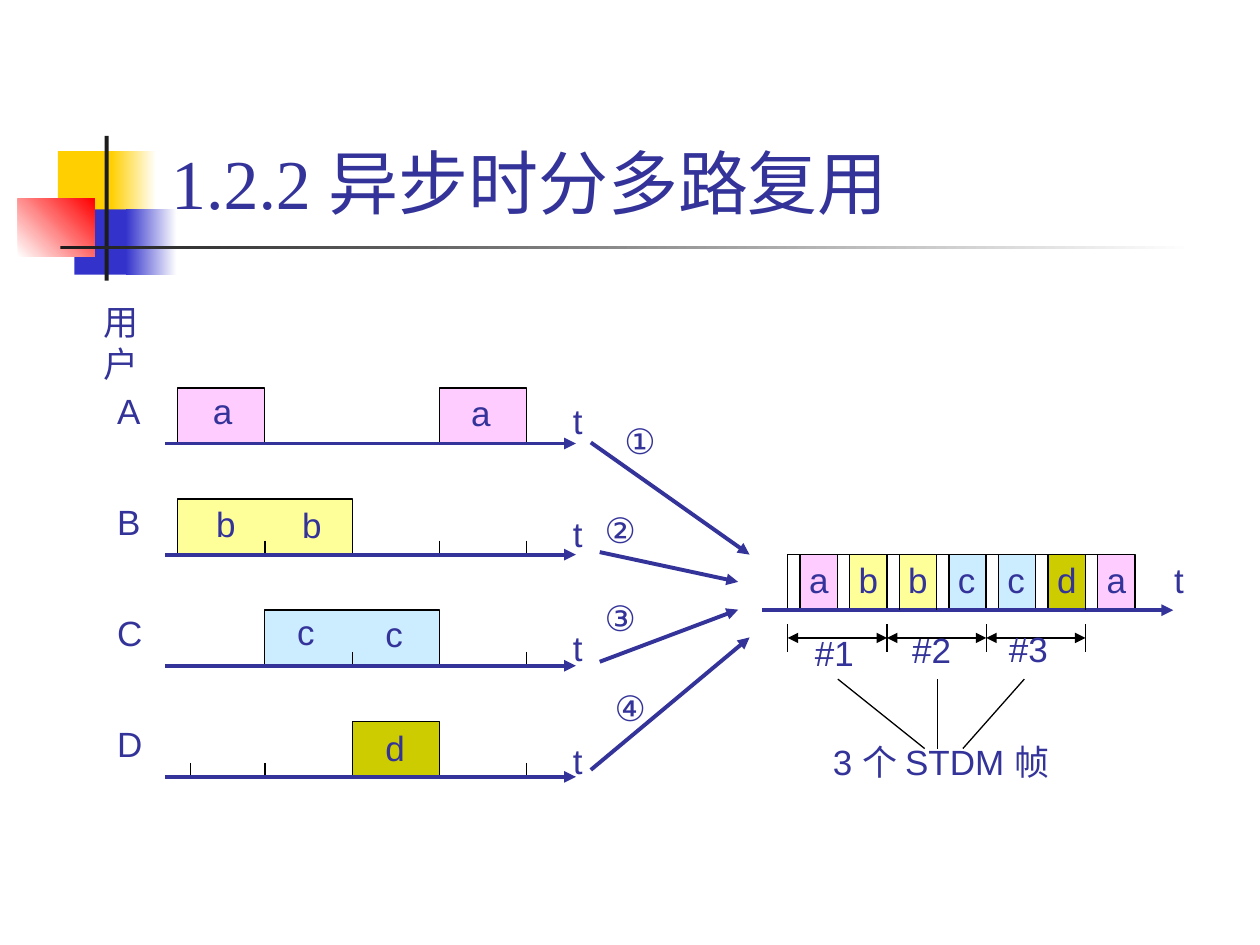
"""Build the slide on asynchronous time-division multiplexing."""
from typing import NamedTuple, Optional

from lxml import etree
from pptx import Presentation
from pptx import util as u
from pptx.dml.color import RGBColor
from pptx.enum import shapes, text
from pptx.oxml.ns import qn

COLORS = {"ink": "333399", "black": "000000", "white": "FFFFFF", "gold": "FFCF01",
          "blue": "3333CC", "red": "FF0000", "coal": "1C1C1C",
          "a": "FFCCFF", "b": "FFFF99", "c": "CCECFF", "d": "CCCC00"}
SLOT_LEFT, SLOT = 3.58, 1.76
USER_BASE, ROW = 8.94, 2.24
BOX_HEIGHT, TICK, LABEL_HEIGHT = 1.12, 0.28, 1.12
MUX_LEFT, MUX_BASE, MUX_PITCH, GAP = 15.88, 12.3, 1.0, 0.25
FRAME = 2 * MUX_PITCH
LABEL_FORMAT = {"word_wrap": False, "auto_size": text.MSO_AUTO_SIZE.SHAPE_TO_FIT_TEXT}
TITLE_FORMAT = {"word_wrap": True, "vertical_anchor": text.MSO_ANCHOR.BOTTOM}


class Ornament(NamedTuple):
    left: float
    top: float
    width: float
    height: float
    start: str
    end: Optional[str] = None
    angle: int = 0


class Burst(NamedTuple):
    user: int
    slot: int
    count: int
    letter: str


class Label(NamedTuple):
    words: str
    left: float
    top: float
    width: float


class Stroke(NamedTuple):
    x1: float
    y1: float
    x2: float
    y2: float


ORNAMENTS = [
    Ornament(1.17, 3.05, 1.22, 1.32, "gold"),
    Ornament(2.24, 3.05, 0.91, 1.32, "gold", "white"),
    Ornament(1.5, 4.22, 1.17, 1.32, "blue"),
    Ornament(2.54, 4.22, 1.02, 1.32, "blue", "white"),
    Ornament(0.36, 4.01, 1.55, 1.17, "white", "red", 45),
    Ornament(2.11, 2.74, 0.08, 2.92, "coal"),
    Ornament(1.22, 4.95, 22.86, 0.08, "coal", "white"),
]
BURSTS = [Burst(0, 0, 1, "a"), Burst(0, 3, 1, "a"), Burst(1, 0, 2, "b"),
          Burst(2, 1, 2, "c"), Burst(3, 2, 1, "d")]
MUX_ORDER = "abbccda"
USER_TICKS = {1: [1, 3, 4], 2: [2, 4], 3: [0.15, 1, 4]}
MUX_TICKS = [18.13, 18.88, 21.88]
LABELS = [
    Label("用户", 1.83, 5.94, 1.9), Label("3 个 STDM 帧", 16.54, 14.81, 5.56),
    Label("t", 23.42, 11.13, 0.69),
    Label("a", 4.04, 7.72, 0.89), Label("a", 9.25, 7.77, 0.89),
    Label("b", 4.11, 10.01, 0.89), Label("b", 5.84, 10.03, 0.89),
    Label("c", 5.74, 12.19, 0.86), Label("c", 7.52, 12.22, 0.86),
    Label("d", 7.52, 14.53, 0.89),
    Label("#1", 16.18, 12.6, 1.3), Label("#2", 18.14, 12.55, 1.3),
    Label("#3", 20.09, 12.52, 1.3),
    Label("①", 12.34, 8.33, 1.14), Label("②", 11.94, 10.13, 1.14),
    Label("③", 11.94, 11.91, 1.14), Label("④", 12.14, 13.72, 1.14),
]
INPUTS = [Stroke(11.91, 8.92, 15.11, 11.18), Stroke(12.09, 11.13, 14.88, 11.73),
          Stroke(12.09, 13.34, 14.88, 12.29), Stroke(11.91, 15.52, 15.11, 12.85)]
FRAME_POINTERS = [Stroke(16.89, 13.69, 18.64, 15.09), Stroke(18.9, 13.69, 18.9, 15.09),
                  Stroke(20.65, 13.69, 19.41, 15.09)]


def rgb(name: str) -> RGBColor:
    """Return a palette colour."""
    return RGBColor.from_string(COLORS[name])


def draw_ornament(slide, item: Ornament) -> None:
    """Draw a plain or graded rectangle."""
    block = slide.shapes.add_shape(shapes.MSO_SHAPE.RECTANGLE, *map(u.Cm, item[:4]))
    block.shadow.inherit = False
    block.line.fill.background()
    if item.end is None:
        block.fill.solid()
        block.fill.fore_color.rgb = rgb(item.start)
        return
    block.fill.gradient()
    block.fill.gradient_angle = item.angle
    for stop, name in zip(block.fill.gradient_stops, (item.start, item.end)):
        stop.color.rgb = rgb(name)


def draw_box(slide, left: float, base: float, width: float, fill: Optional[str] = None) -> None:
    """Draw a time slot that is open along its base."""
    top, right = base - BOX_HEIGHT, left + width
    outline = slide.shapes.build_freeform(u.Cm(left), u.Cm(base))
    corners = [(left, top), (right, top), (right, base)]
    outline.add_line_segments([(u.Cm(x), u.Cm(y)) for x, y in corners], close=False)
    box = outline.convert_to_shape()
    box.shadow.inherit = False
    box.line.color.rgb = rgb("black")
    box.line.width = u.Pt(0.75)
    if fill:
        box.fill.solid()
        box.fill.fore_color.rgb = rgb(fill)
    else:
        box.fill.background()


def draw_stroke(slide, stroke: Stroke, color: str = "black", weight: float = 0.75,
                arrows: tuple = ()) -> None:
    """Draw a straight line with arrowheads at the named ends."""
    line = slide.shapes.add_connector(shapes.MSO_CONNECTOR.STRAIGHT, *map(u.Cm, stroke))
    line.line.color.rgb = rgb(color)
    line.line.width = u.Pt(weight)
    for end in arrows:
        etree.SubElement(line.line._get_or_add_ln(), qn(f"a:{end}"), type="triangle")
    etree.SubElement(line._element.spPr, qn("a:effectLst"))


def draw_arrow(slide, stroke: Stroke) -> None:
    """Draw a heavy arrow."""
    draw_stroke(slide, stroke, "ink", 2.25, ("tailEnd",))


def draw_text(slide, place: tuple, runs: list, size: int, layout: dict) -> None:
    """Draw one paragraph made of (words, font) runs."""
    frame = slide.shapes.add_textbox(*map(u.Cm, place)).text_frame
    for key, value in layout.items():
        setattr(frame, key, value)
    for words, font in runs:
        run = frame.paragraphs[0].add_run()
        run.text = words
        for key, value in {"name": font, "size": u.Pt(size)}.items():
            setattr(run.font, key, value)
        run.font.color.rgb = rgb("ink")


def draw_label(slide, label: Label) -> None:
    """Draw a short label."""
    draw_text(slide, (*label[1:], LABEL_HEIGHT), [(label.words, "Arial")], 20, LABEL_FORMAT)


def draw_users(slide) -> None:
    """Draw the four user timelines."""
    for burst in BURSTS:
        draw_box(slide, SLOT_LEFT + burst.slot * SLOT, USER_BASE + burst.user * ROW,
                 burst.count * SLOT, burst.letter)
    for row, user in enumerate("ABCD"):
        base = USER_BASE + row * ROW
        for slot in USER_TICKS.get(row, []):
            x = SLOT_LEFT + slot * SLOT
            draw_stroke(slide, Stroke(x, base - TICK, x, base))
        draw_label(slide, Label(user, 2.11, 7.72 + row * ROW, 0.97))
        draw_label(slide, Label("t", 11.3, 7.92 + row * 2.29, 0.69))
        draw_arrow(slide, Stroke(3.33, base, 11.61, base))


def draw_multiplex(slide) -> None:
    """Draw the shared line and its frames."""
    for index, letter in enumerate(MUX_ORDER):
        left = MUX_LEFT + index * MUX_PITCH
        draw_box(slide, left + GAP, MUX_BASE, MUX_PITCH - GAP, letter)
        draw_box(slide, left, MUX_BASE, GAP)
        draw_label(slide, Label(letter, left + 0.18, 11.13, 0.89))
    draw_arrow(slide, Stroke(15.37, MUX_BASE, 23.65, MUX_BASE))
    for x in MUX_TICKS:
        draw_stroke(slide, Stroke(x, MUX_BASE - TICK, x, MUX_BASE))
    edges = [MUX_LEFT + index * FRAME for index in range(4)]
    for x in edges:
        draw_stroke(slide, Stroke(x, MUX_BASE + TICK, x, MUX_BASE + 3 * TICK))
    for left, right in zip(edges, edges[1:]):
        middle = MUX_BASE + 2 * TICK
        draw_stroke(slide, Stroke(left, middle, right, middle), arrows=("headEnd", "tailEnd"))
    for pointer in FRAME_POINTERS:
        draw_stroke(slide, pointer)


def main() -> None:
    """Build and save the slide."""
    deck = Presentation()
    deck.slide_width, deck.slide_height = u.Cm(25.4), u.Cm(19.05)
    slide = deck.slides.add_slide(deck.slide_layouts[6])
    for item in ORNAMENTS:
        draw_ornament(slide, item)
    draw_text(slide, (3.2, 0.58, 19.81, 4.06),
              [("1.2.2 ", "Times New Roman"), ("异步时分多路复用", "Arial")], 40, TITLE_FORMAT)
    draw_users(slide)
    draw_multiplex(slide)
    for stroke in INPUTS:
        draw_arrow(slide, stroke)
    for label in LABELS:
        draw_label(slide, label)
    deck.save("out.pptx")


if __name__ == "__main__":
    main()
